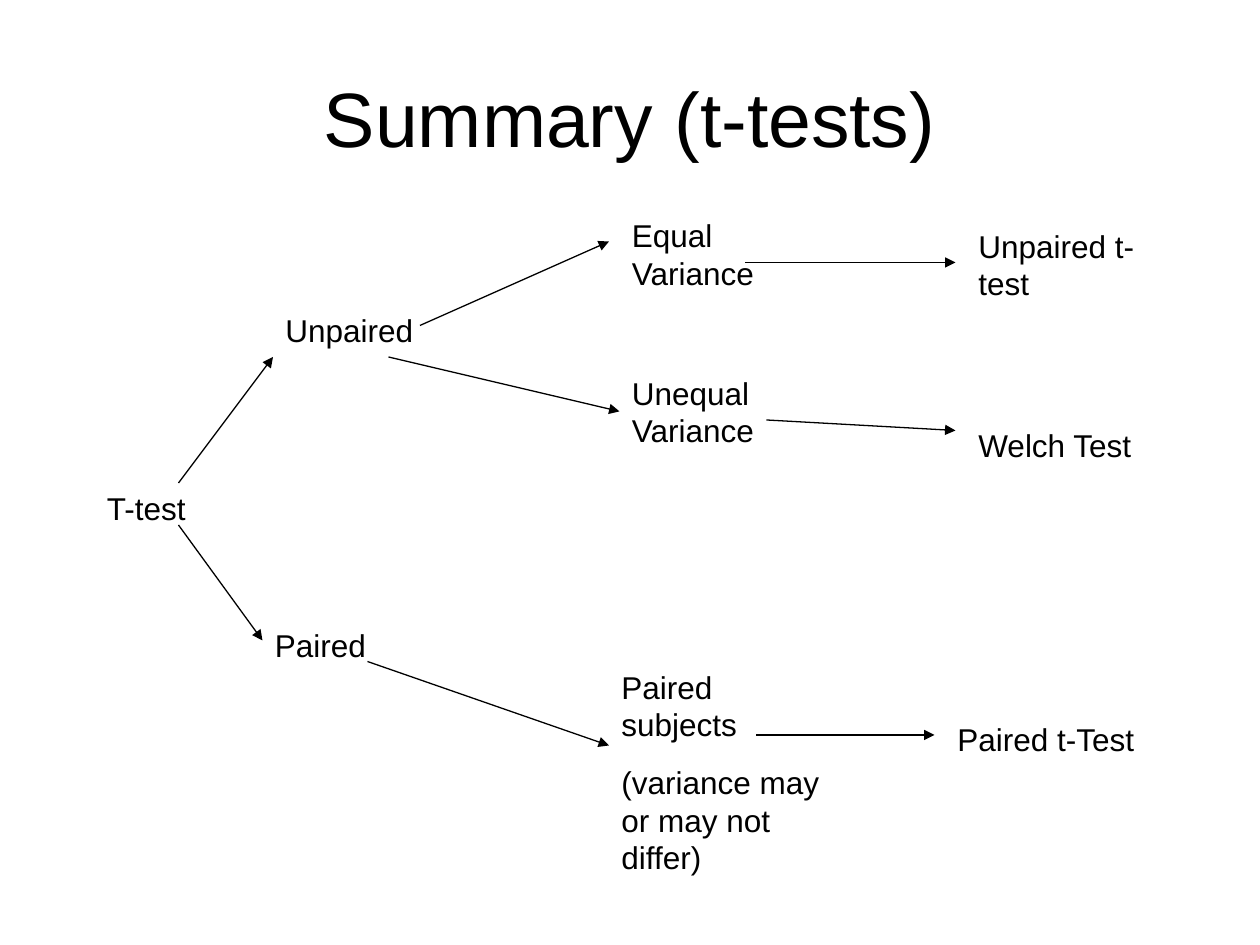
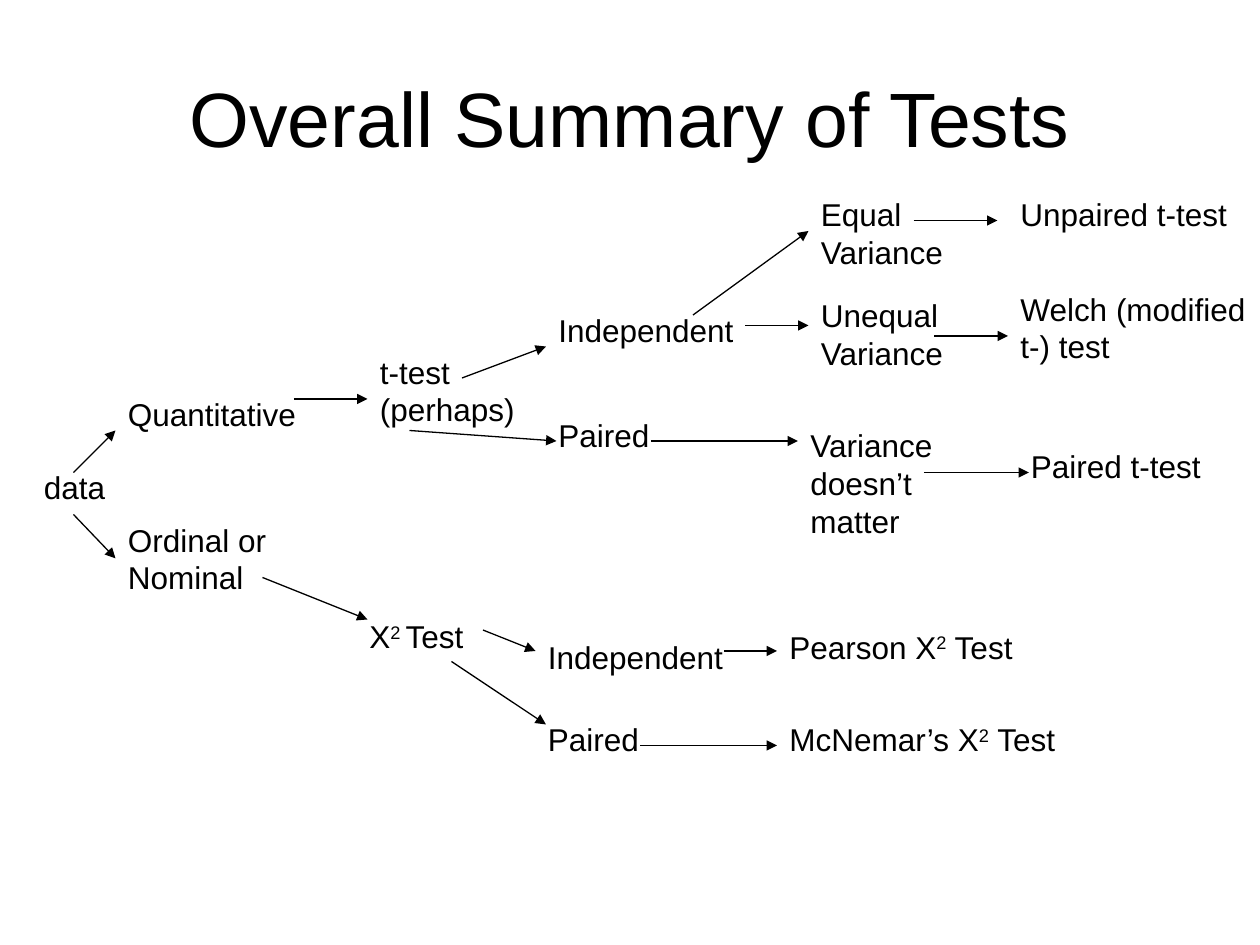
from lxml import etree
from pptx import Presentation
from pptx.dml.color import RGBColor
from pptx.enum.shapes import MSO_CONNECTOR
from pptx.enum.text import MSO_ANCHOR, MSO_AUTO_SIZE, PP_ALIGN
from pptx.oxml.ns import qn
from pptx.util import Cm, Pt

LEFT_SIDE = 1


def color(hex_string):
    return RGBColor.from_string(hex_string)


def grid(*steps):
    """Turn grid steps (twelve to 2.54 cm) into lengths."""
    return [Cm(2.54 * step / 12) for step in steps]


class TreeDeck:
    font_name = "Arial"
    ink = "000000"
    title_size = Pt(44)
    label_size = Pt(18)
    paragraph_gap = Pt(11.2)
    line_width = Pt(0.75)

    def __init__(self):
        self.presentation = Presentation()
        self.presentation.slide_width = Cm(25.4)
        self.presentation.slide_height = Cm(19.05)
        self.slide = None

    def add_run(self, paragraph, text, size, raised=False):
        run = paragraph.add_run()
        run.text = text
        run.font.name = self.font_name
        run.font.size = size
        run.font.color.rgb = color(self.ink)
        if raised:
            run._r.get_or_add_rPr().set("baseline", "30000")

    def new_slide(self, title):
        self.slide = self.presentation.slides.add_slide(self.presentation.slide_layouts[5])
        shape = self.slide.shapes.title
        shape.left, shape.top, shape.width, shape.height = Cm(1.27), Cm(0.76), Cm(22.86), Cm(3.18)
        frame = shape.text_frame
        frame.auto_size = MSO_AUTO_SIZE.NONE
        frame.vertical_anchor = MSO_ANCHOR.MIDDLE
        paragraph = frame.paragraphs[0]
        paragraph.alignment = PP_ALIGN.CENTER
        self.add_run(paragraph, title, self.title_size)

    def label(self, left, top, width, *paragraphs, lines=1):
        """Add a label; in a tuple of runs every second one is superscript."""
        height = Cm(0.25 + 0.76 * lines)
        shape = self.slide.shapes.add_textbox(*grid(left, top, width), height)
        frame = shape.text_frame
        frame.word_wrap = True
        frame.auto_size = MSO_AUTO_SIZE.SHAPE_TO_FIT_TEXT
        for index, runs in enumerate(paragraphs):
            paragraph = frame.add_paragraph() if index else frame.paragraphs[0]
            if index:
                paragraph.space_before = self.paragraph_gap
            for position, text in enumerate((runs,) if isinstance(runs, str) else runs):
                self.add_run(paragraph, text, self.label_size, raised=position % 2 == 1)
        return shape

    def arrow(self, x1, y1, x2, y2, target=None):
        connector = self.slide.shapes.add_connector(MSO_CONNECTOR.STRAIGHT, *grid(x1, y1, x2, y2))
        connector.line.color.rgb = color(self.ink)
        connector.line.width = self.line_width
        etree.SubElement(connector.line._get_or_add_ln(), qn("a:tailEnd"), type="triangle")
        etree.SubElement(connector._element.spPr, qn("a:effectLst"))
        if target is not None:
            connector.end_connect(target, LEFT_SIDE)

    def arrows(self, *ends):
        for end in ends:
            self.arrow(*end)


def build_t_tests(deck):
    deck.new_slide("Summary (t-tests)")

    # Branches
    deck.label(9, 46, 39, "T-test")
    deck.label(26, 29, 22, "Unpaired")
    deck.label(25, 59, 22, "Paired")
    deck.label(59, 20, 22, "Equal Variance", lines=2)
    unequal_variance = deck.label(59, 35, 22, "Unequal Variance", lines=2)
    deck.label(58, 63, 22, "Paired subjects", "(variance may or may not differ)", lines=5.5)

    # Resulting tests
    deck.label(90, 68, 22, "Paired t-Test")
    deck.label(92, 21, 22, "Unpaired t-test", lines=2)
    deck.label(92, 40, 28, "Welch Test")

    # Arrows
    deck.arrow(37, 34, 59, 39, unequal_variance)
    deck.arrows(
        (17, 46, 26, 34), (17, 50, 25, 61),
        (40, 31, 58, 23), (35, 63, 58, 71),
        (73, 40, 91, 41), (72, 70, 89, 70), (71, 25, 91, 25),
    )


def build_all_tests(deck):
    deck.new_slide("Overall Summary of Tests")

    # Kinds of data
    deck.label(3, 44, 12, "data")
    deck.label(11, 37, 20, "Quantitative")
    ordinal = deck.label(11, 49, 19, "Ordinal or Nominal", lines=2)

    # Test families and pairing
    deck.label(34, 58.2, 17, ("X", "2 ", "Test"))
    deck.label(35, 33, 18, "t-test (perhaps)", lines=2)
    for left, independent_top, paired_top in ((51, 60.2, 68), (52, 29, 39)):
        deck.label(left, independent_top, 24, "Independent")
        deck.label(left, paired_top, 24, "Paired")

    # Variance
    deck.label(77, 18, 21, "Equal Variance", lines=2)
    deck.label(77, 27.6, 21, "Unequal Variance", lines=2)
    deck.label(76, 40, 19, "Variance doesn’t matter", lines=3)

    # Resulting tests
    deck.label(74, 68, 32, ("McNemar’s X", "2", " Test"))
    deck.label(74, 59.2, 31, ("Pearson X", "2", " Test"))
    deck.label(96, 18, 24, "Unpaired t-test")
    deck.label(96, 27, 26, "Welch (modified t-) test", lines=2)
    deck.label(97, 42, 19, "Paired t-test")

    # Arrows
    deck.arrow(7, 49, 11, 53, ordinal)
    deck.arrows(
        (7, 45, 11, 41), (28, 38, 35, 38), (25, 55, 35, 59),
        (44, 36, 52, 33), (39, 41, 53, 42), (46, 60, 51, 62), (43, 63, 52, 69),
        (69, 62, 74, 62), (61, 71, 74, 71), (66, 30, 77, 22), (62, 42, 76, 42),
        (71, 31, 77, 31), (87, 21, 95, 21), (89, 32, 96, 32), (88, 45, 98, 45),
    )


def main():
    deck = TreeDeck()
    build_t_tests(deck)
    build_all_tests(deck)
    deck.presentation.save("out.pptx")


if __name__ == "__main__":
    main()
